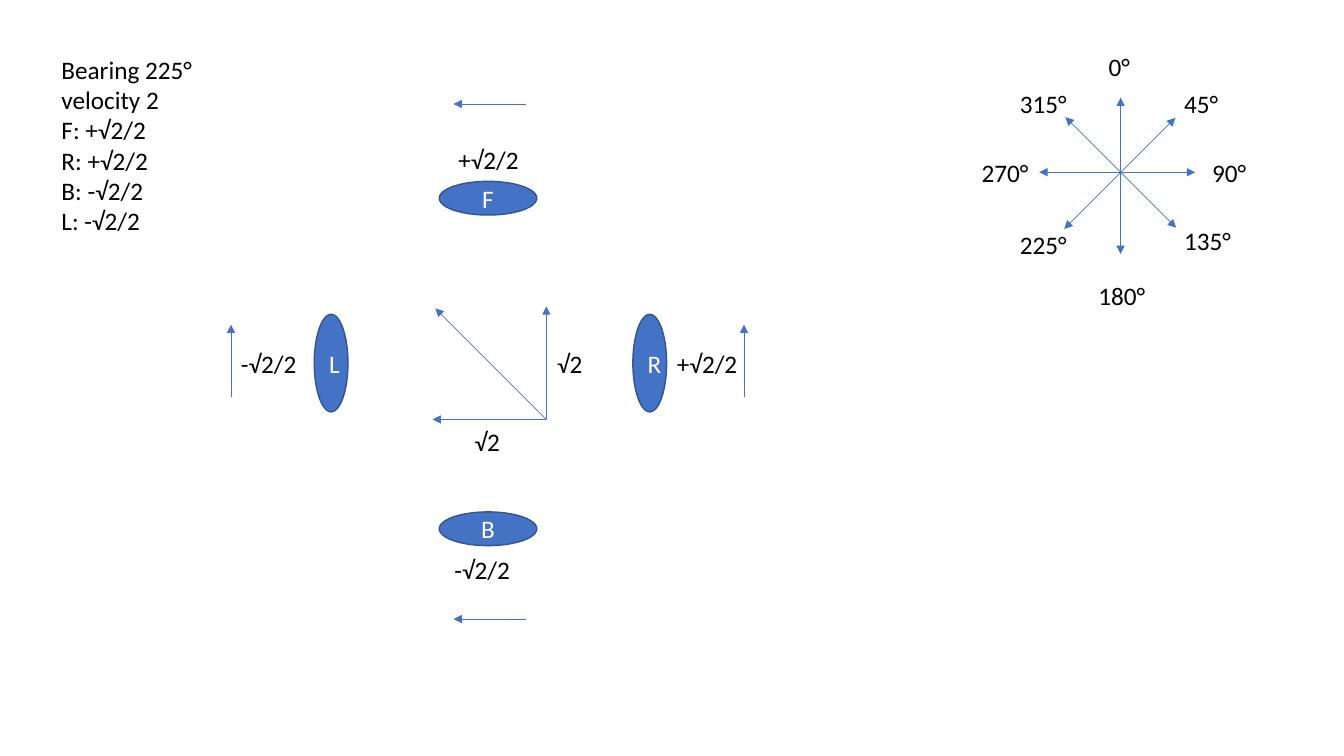
from lxml.etree import SubElement
from pptx import Presentation
from pptx.dml.color import RGBColor
from pptx.enum.shapes import MSO_CONNECTOR as Connector, MSO_SHAPE as Shape
from pptx.enum.text import MSO_ANCHOR as Anchor, MSO_AUTO_SIZE as AutoSize, PP_ALIGN as Align
from pptx.oxml.ns import qn
from pptx.util import Cm, Pt

COLORS = {"blue": "4472C4", "outline": "325491", "white": "FFFFFF", "black": "000000"}


def color(name):
    return RGBColor.from_string(COLORS[name])


class Diagram:
    font = "Calibri"
    size = Pt(18)
    label_height = 1.02

    def __init__(self, slide):
        self.slide = slide

    def styled_run(self, paragraph, text, ink):
        run = paragraph.add_run()
        run.text = text
        run.font.name = self.font
        run.font.size = self.size
        run.font.color.rgb = color(ink)

    def label(self, lines, left, top, width, height=label_height, wrap=False):
        box = self.slide.shapes.add_textbox(Cm(left), Cm(top), Cm(width), Cm(height))
        frame = box.text_frame
        frame.word_wrap = wrap
        frame.auto_size = AutoSize.SHAPE_TO_FIT_TEXT
        for index, line in enumerate(lines):
            paragraph = frame.add_paragraph() if index else frame.paragraphs[0]
            self.styled_run(paragraph, line, "black")

    def wheel(self, name, left, top, width, height):
        oval = self.slide.shapes.add_shape(
            Shape.OVAL, Cm(left), Cm(top), Cm(width), Cm(height))
        oval.shadow.inherit = False
        oval.fill.solid()
        oval.fill.fore_color.rgb = color("blue")
        oval.line.color.rgb = color("outline")
        oval.line.width = Pt(1)
        oval.text_frame.vertical_anchor = Anchor.MIDDLE
        paragraph = oval.text_frame.paragraphs[0]
        paragraph.alignment = Align.CENTER
        self.styled_run(paragraph, name, "white")

    def arrow(self, start, end, both_ends=False, group=None):
        """Draw an arrow pointing at end, inside group when one is given."""
        shapes = (group or self.slide).shapes
        line = shapes.add_connector(
            Connector.STRAIGHT, *(Cm(value) for value in (*start, *end)))
        line.line.color.rgb = color("blue")
        line.line.width = Pt(0.5)
        properties = line._element.spPr
        outline = properties.find(qn("a:ln"))
        for tag in ("a:headEnd", "a:tailEnd") if both_ends else ("a:tailEnd",):
            SubElement(outline, qn(tag), type="triangle")
        SubElement(properties, qn("a:effectLst"))

    def vectors(self, origin, tips):
        """Draw grouped arrows that share one origin."""
        group = self.slide.shapes.add_group_shape()
        for tip in tips:
            self.arrow(origin, tip, group=group)


def draw_wheels(diagram):
    long_side, short_side = 2.46, 0.85
    for name, left, top in (("B", 11.07, 12.9), ("F", 11.07, 4.57)):
        diagram.wheel(name, left, top, long_side, short_side)
    for name, left in (("L", 7.92), ("R", 15.95)):
        diagram.wheel(name, left, 7.92, short_side, long_side)

    for speed, left, top, width in (
        ("+√2/2", 11.3, 3.51, 2.06),
        ("+√2/2", 16.81, 8.66, 2.06),
        ("-√2/2", 5.82, 8.66, 1.93),
        ("-√2/2", 11.2, 13.84, 1.93),
    ):
        diagram.label([speed], left, top, width)

    for x in (5.82, 18.75):
        diagram.arrow((x, 10.01), (x, 8.18))
    for y in (2.62, 15.6):
        diagram.arrow((13.26, y), (11.43, y))


def draw_compass(diagram):
    for start, end in (
        ((28.24, 6.4), (28.24, 2.46)),
        ((30.12, 4.34), (26.19, 4.34)),
        ((26.82, 5.77), (29.62, 2.97)),
        ((26.85, 2.95), (29.64, 5.74)),
    ):
        diagram.arrow(start, end, both_ends=True)

    width_by_length = {2: 1.07, 3: 1.37, 4: 1.7}
    for bearing, left, top in (
        ("0°", 27.69, 1.17),
        ("45°", 29.59, 2.11),
        ("90°", 30.3, 3.84),
        ("135°", 29.59, 5.56),
        ("180°", 27.43, 6.93),
        ("225°", 25.45, 5.66),
        ("270°", 24.49, 3.84),
        ("315°", 25.45, 2.11),
    ):
        diagram.label([bearing], left, top, width_by_length[len(bearing)])


def draw_velocity(diagram):
    diagram.vectors((13.77, 10.57), ((10.97, 7.77), (13.77, 7.72), (10.9, 10.57)))
    for left, top in ((13.79, 8.66), (11.71, 10.62)):
        diagram.label(["√2"], left, top, 1.17)


def main():
    deck = Presentation()
    deck.slide_width, deck.slide_height = Cm(33.87), Cm(19.05)
    diagram = Diagram(deck.slides.add_slide(deck.slide_layouts[6]))
    draw_wheels(diagram)
    diagram.label(
        ["Bearing 225°", "velocity 2", "F: +√2/2", "R: +√2/2", "B: -√2/2", "L: -√2/2"],
        1.3, 1.24, 6.25, 4.88, wrap=True)
    draw_compass(diagram)
    draw_velocity(diagram)
    deck.save("out.pptx")


if __name__ == "__main__":
    main()
